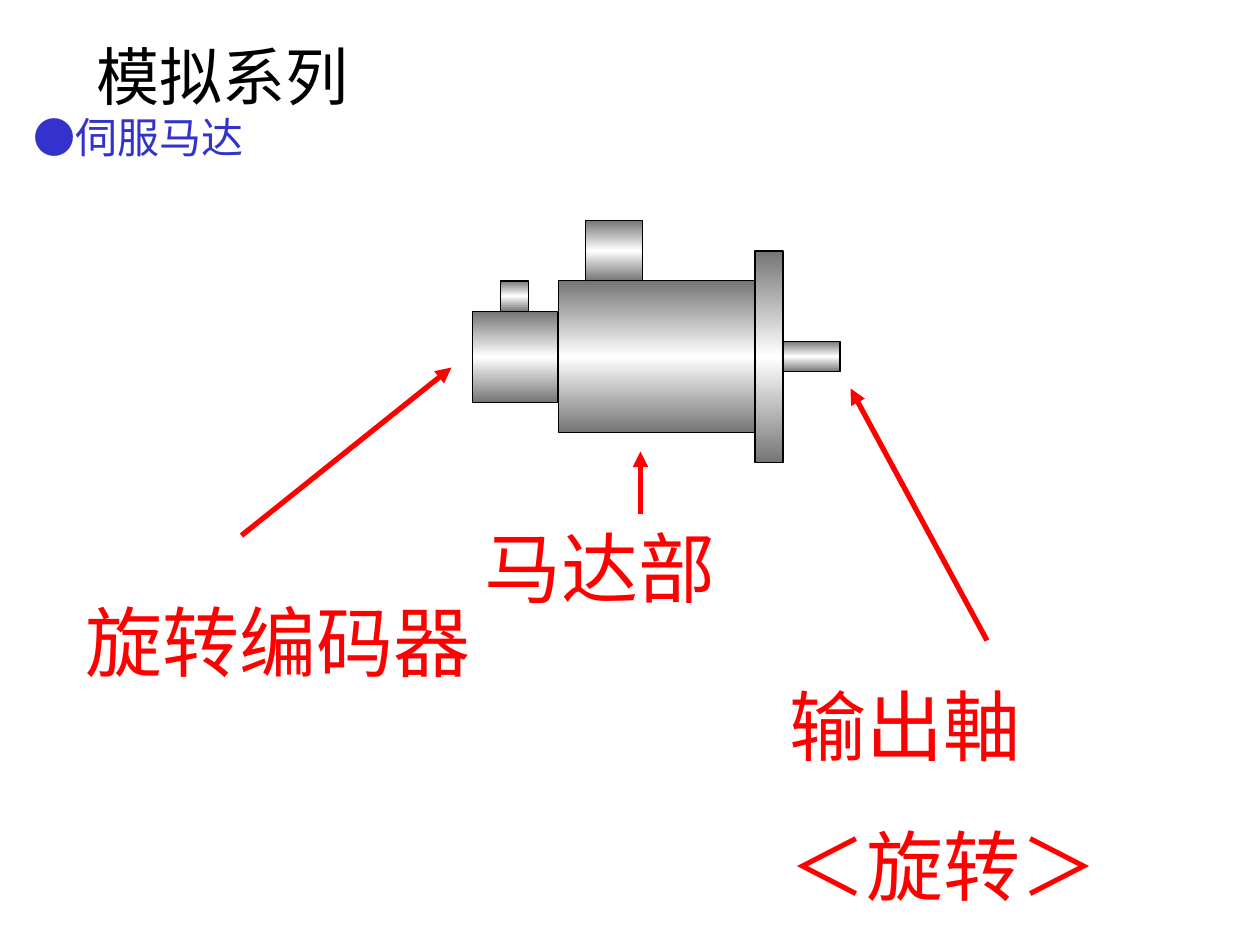
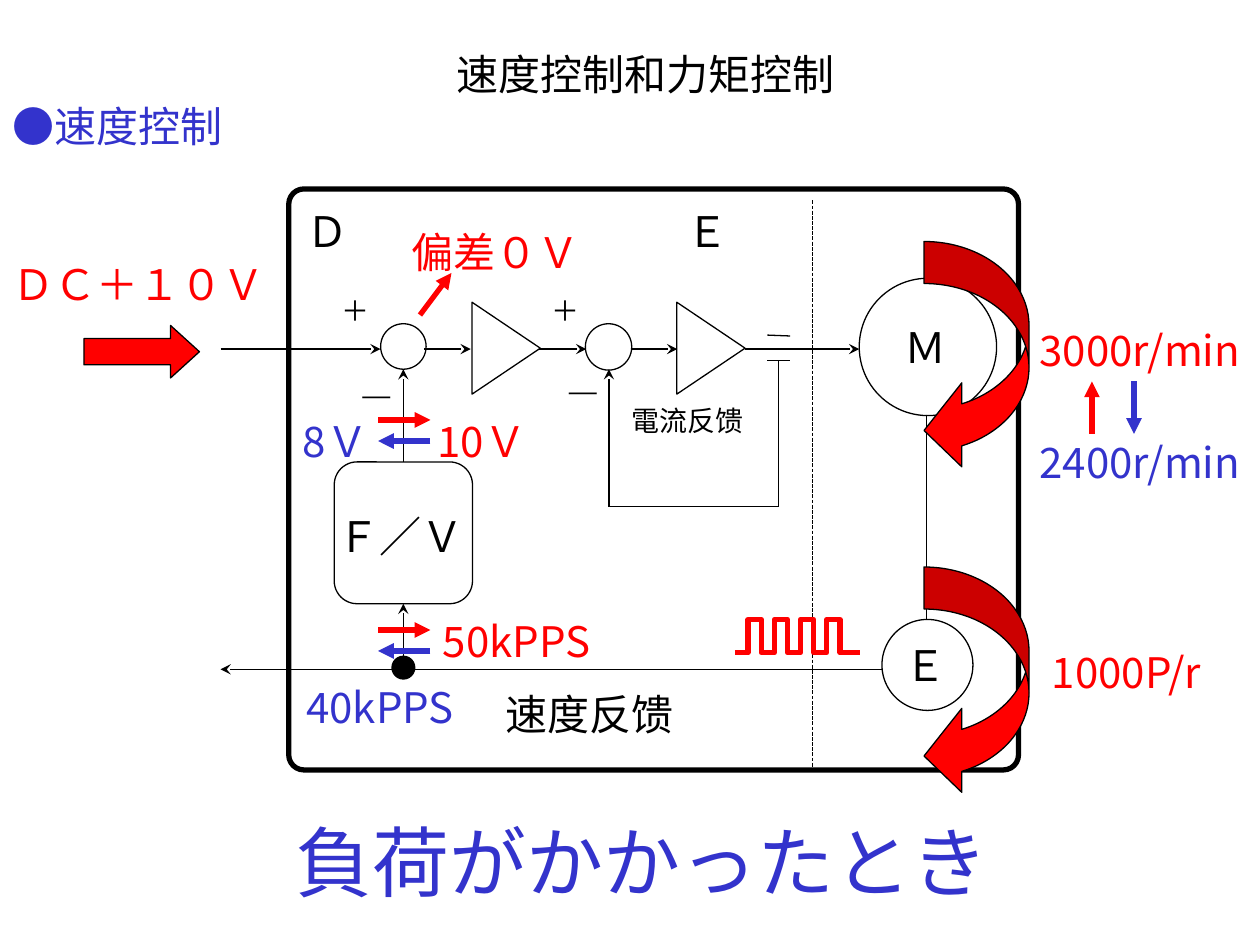
from copy import deepcopy
from pptx import Presentation
from pptx.dml.color import RGBColor
from pptx.enum.dml import MSO_LINE
from pptx.enum.shapes import MSO_CONNECTOR, MSO_SHAPE as SHAPE
from pptx.enum.text import MSO_ANCHOR as ANCHOR, MSO_AUTO_SIZE as FIT, PP_ALIGN as ALIGN
from pptx.oxml.ns import qn
from pptx.util import Pt

# Shared look
BLACK, WHITE, RED, BLUE, STEEL = "000000", "FFFFFF", "FF0000", "3333CC", "757575"
SANS, SERIF = "Noto Sans CJK JP", "TeX Gyre Schola"
THIN, THICK = 0.75, 3


def rgb(hex_colour):
    return RGBColor.from_string(hex_colour)


def box(x, y, w, h):
    return Pt(x), Pt(y), Pt(w), Pt(h)


# Text
def write(tf, text, size=24, colour=BLACK, font=SANS, align=ALIGN.LEFT,
          before=0, wrap=True, fit=FIT.SHAPE_TO_FIT_TEXT):
    tf.word_wrap = wrap
    tf.auto_size = fit
    tf.vertical_anchor = ANCHOR.TOP
    for i, line in enumerate(text.split("\n")):
        p = tf.add_paragraph() if i else tf.paragraphs[0]
        p.alignment = align
        p.space_before = Pt(before if i else 0)
        r = p.add_run()
        r.text = line
        r.font.size = Pt(size)
        r.font.name = font
        r.font.color.rgb = rgb(colour)
        ea = r.font._element.makeelement(qn("a:ea"), {"typeface": font})
        r.font._element.append(ea)


def add_text(slide, text, x, y, w, h=36, **fmt):
    write(slide.shapes.add_textbox(*box(x, y, w, h)).text_frame, text, **fmt)


def diagram_label(slide, text, x, y, w=52, size=24):
    add_text(slide, text, x, y, w, 52, size=size, font=SERIF,
             align=ALIGN.JUSTIFY, fit=FIT.NONE)


def add_slide(prs, title, x, y, w, h, **fmt):
    slide = prs.slides.add_slide(prs.slide_layouts[5])
    sp = slide.shapes.title
    sp.left, sp.top, sp.width, sp.height = box(x, y, w, h)
    write(sp.text_frame, title, fit=FIT.NONE, **fmt)
    return slide


# Shapes
def set_line(sp, colour, width):
    sp.line.color.rgb = rgb(colour)
    sp.line.width = Pt(width)


def add_shape(slide, kind, x, y, w, h, fill=WHITE, width=THIN, adj=(), turn=0):
    sp = slide.shapes.add_shape(kind, *box(x, y, w, h))
    sp.shadow.inherit = False
    sp.rotation = turn
    for i, value in enumerate(adj):
        sp.adjustments[i] = value
    if fill:
        sp.fill.solid()
        sp.fill.fore_color.rgb = rgb(fill)
    else:
        sp.fill.background()
    set_line(sp, BLACK, width)
    return sp


def metal_part(slide, x, y, w, h):
    sp = add_shape(slide, SHAPE.RECTANGLE, x, y, w, h)
    sp.fill.gradient()
    sp.fill.gradient_angle = 90
    stops = sp._element.spPr.find(".//" + qn("a:gsLst"))
    stops.append(deepcopy(stops[0]))
    for i, (stop, colour) in enumerate(zip(sp.fill.gradient_stops, (STEEL, WHITE, STEEL))):
        stop.position = i / 2
        stop.color.rgb = rgb(colour)


def add_line(slide, x1, y1, x2, y2, colour=BLACK, width=THIN, head=None):
    c = slide.shapes.add_connector(MSO_CONNECTOR.STRAIGHT, Pt(x1), Pt(y1), Pt(x2), Pt(y2))
    set_line(c, colour, width)
    if head:
        ln = c.line._get_or_add_ln()
        ln.append(ln.makeelement(qn("a:tailEnd"), {"type": head}))
    sp_pr = c._element.spPr
    sp_pr.append(sp_pr.makeelement(qn("a:effectLst"), {}))
    return c


def bold_arrow(slide, x1, y1, x2, y2, colour=RED):
    add_line(slide, x1, y1, x2, y2, colour, THICK, "triangle")


def signal(slide, x1, y1, x2, y2):
    return add_line(slide, x1, y1, x2, y2, head="stealth")


def pulse_train(slide, left, right, high, low, first_edge, step, edges):
    points = [(left, low)]
    for i in range(edges):
        x = first_edge + i * step
        points += [(x, low), (x, high)] if i % 2 == 0 else [(x, high), (x, low)]
    points.append((right, low))
    points = [(Pt(x), Pt(y)) for x, y in points]
    fb = slide.shapes.build_freeform(*points[0])
    fb.add_line_segments(points[1:], close=False)
    sp = fb.convert_to_shape()
    sp.shadow.inherit = False
    sp.fill.background()
    set_line(sp, RED, THICK)


# Slide 1: servo motor
def motor_slide(prs):
    s = add_slide(prs, "模拟系列", 48, 18, 198, 50.4, size=36)
    for part in ((319, 160.5, 113, 86.5),     # motor body
                 (270, 178, 48.5, 52),        # encoder
                 (431.5, 143.5, 16, 121),     # flange
                 (447.5, 195, 32.5, 17.5),    # shaft
                 (286, 160.5, 16, 17.5),      # encoder connector
                 (334.5, 126, 32.5, 34.5)):   # power connector
        metal_part(s, *part)
    add_text(s, "●伺服马达", 12, 60, 198, colour=BLUE)

    big_red = dict(size=44, colour=RED)
    add_text(s, "马达部", 270, 294, 198, 60.5, **big_red)
    add_text(s, "旋转编码器", 6, 336, 306, 60.5, align=ALIGN.CENTER, **big_red)
    add_text(s, "输出軸\n＜旋转＞", 444, 384, 264, 140.5, before=27.5, **big_red)
    bold_arrow(s, 138, 306, 258, 210)
    bold_arrow(s, 366, 294, 366, 258)
    bold_arrow(s, 564, 366, 486, 222)


# Slide 2: speed control loop
def control_loop(s):
    axis_y, speed_x, current_x, tap_x = 199.5, 230.5, 348, 445
    divider = add_line(s, 464.5, 114.5, 464.5, 440)
    divider.line.dash_style = MSO_LINE.SQUARE_DOT
    add_shape(s, SHAPE.ROUNDED_RECTANGLE, 165, 108, 417, 332,
              fill=None, width=THICK, adj=[0.026])

    # Amplifiers, summing points, motor and encoder
    for x in (263, 380):
        add_shape(s, SHAPE.ISOSCELES_TRIANGLE, x, 179.5, 52.5, 39, turn=90)
    for x, y, d in ((217.5, 185, 26), (334.5, 185, 26.5), (491, 159, 78.5), (504, 354, 52)):
        add_shape(s, SHAPE.OVAL, x, y, d, d)
    converter = add_shape(s, SHAPE.ROUNDED_RECTANGLE, 191, 264, 79, 81, adj=[0.165])

    # Forward path
    for x1, x2 in ((126, 217.5), (242.5, 269), (308, 335), (360.5, 387), (425.5, 491)):
        signal(s, x1, axis_y, x2, axis_y)

    # Speed feedback
    add_line(s, 529.5, 237, 529.5, 354)
    signal(s, 504, 382.5, 126, 382.5)
    signal(s, speed_x, 382.5, speed_x, 345).end_connect(converter, 2)
    signal(s, speed_x, 264, speed_x, 211).begin_connect(converter, 0)
    add_shape(s, SHAPE.OVAL, 224, 375, 13, 13, fill=BLACK)

    # Current feedback
    add_line(s, 438.5, 191.5, 451.5, 192)
    add_line(s, 438.5, 206, 451.5, 206)
    add_line(s, tap_x, 206, tap_x, 289.5)
    add_line(s, tap_x, 289.5, current_x, 289.5)
    signal(s, current_x, 289.5, current_x, 211)

    # Labels in the diagram
    diagram_label(s, "Ｆ／Ｖ", 186, 288, w=104)
    diagram_label(s, "Ｍ", 510, 180, w=65)
    diagram_label(s, "Ｅ", 510, 362)
    diagram_label(s, "速度反馈", 282, 390, w=183)
    for sign, x, y in (("＋", 188, 164), ("＋", 308, 164), ("―", 200, 211.5), ("―", 318, 209.5)):
        diagram_label(s, sign, x, y, size=16)
    add_text(s, "Ｄ", 168, 114, 60)
    add_text(s, "Ｅ", 385, 114, 60)
    add_text(s, "電流反馈", 354, 227, 90, 26.5, size=16)


def control_slide(prs):
    s = add_slide(prs, "速度控制和力矩控制", 192, 24, 354, 36, align=ALIGN.CENTER)
    add_text(s, "●速度控制", 0, 54, 186, colour=BLUE)
    control_loop(s)

    # Command and rotation
    add_shape(s, SHAPE.RIGHT_ARROW, 48, 186, 66, 30, fill=RED, adj=[0.5, 0.55])
    for y in (138, 324):
        add_shape(s, SHAPE.CURVED_LEFT_ARROW, 528, y, 60, 132, fill=RED, adj=[0.4, 0.8, 0.36])
    pulse_train(s, 420, 491.5, 354, 373, first_edge=427.5, step=7.5, edges=8)

    # Values without load in red, under load in blue
    for text, x, y, w, colour in (
            ("偏差０Ｖ", 228, 126, 114, RED),
            ("ＤＣ＋１０Ｖ", 0, 144, 186, RED),
            ("1000P/r", 594, 366, 108, RED),
            ("50kPPS", 246, 348, 108, RED),
            ("10Ｖ", 243, 234, 84, RED),
            ("40kPPS", 168, 386, 108, BLUE),
            ("8Ｖ", 166, 234, 72, BLUE)):
        add_text(s, text, x, y, w, colour=colour)
    for text, y, colour in (("3000r/min", 182, RED), ("2400r/min", 246, BLUE)):
        add_text(s, text, 587, y, 132, colour=colour, wrap=False)
    add_text(s, "負荷がかかったとき", 162, 462, 420, 60.5, size=44, colour=BLUE)

    # Direction of change
    bold_arrow(s, 240, 180, 258, 156)
    bold_arrow(s, 624, 248, 624, 218)
    bold_arrow(s, 648, 218, 648, 248, BLUE)
    for y in (240, 360):
        bold_arrow(s, 216, y, 246, y)
        bold_arrow(s, 246, y + 12, 216, y + 12, BLUE)


def main():
    prs = Presentation()
    prs.slide_width, prs.slide_height = Pt(720), Pt(540)
    motor_slide(prs)
    control_slide(prs)
    prs.save("out.pptx")


if __name__ == "__main__":
    main()
